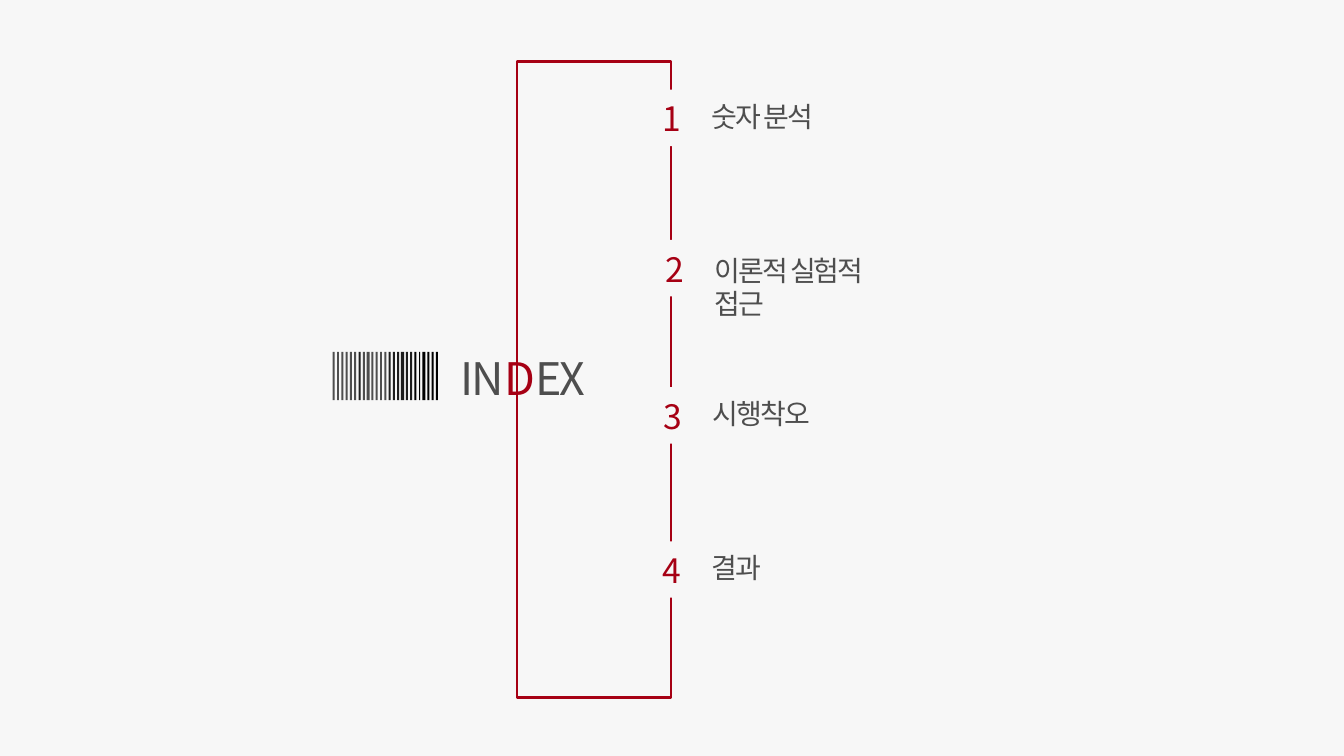
from dataclasses import dataclass

from lxml.etree import SubElement
from pptx import Presentation
from pptx.dml.color import RGBColor
from pptx.enum.shapes import MSO_SHAPE
from pptx.enum.text import MSO_ANCHOR, MSO_AUTO_SIZE, PP_ALIGN
from pptx.oxml.ns import qn
from pptx.shapes.autoshape import Shape
from pptx.slide import Slide
from pptx.util import Inches, Pt

COLORS = {
    "paper": "F7F7F7",
    "red": "A60014",
    "grey": "4E4E4E",
    "dark": "1D1D1D",
    "black": "000000",
}
FONT = "Noto Sans CJK KR"
WIDTH, HEIGHT = Inches(13.33), Inches(7.5)
COMPARISON_LAYOUT = 4

BAR_START, BAR_PITCH = 24.83, 0.32
BAR_TOP, BAR_HEIGHT = 46.53, 6.4
BAR_WIDTH = 0.15
SPECIAL_WIDTHS = {8: 0.23, 16: 0.23, 20: 0.08, 21: 0.23}
BAR_COLORS = ["grey"] * 6 + ["dark"] + ["grey"] * 6 + ["dark"] * 6 + ["black"] * 6


@dataclass(frozen=True)
class Area:
    """Shares of the slide's size, in percent."""
    left: float
    top: float
    width: float
    height: float

    def lengths(self) -> tuple[int, int, int, int]:
        return (
            round(WIDTH * self.left / 100),
            round(HEIGHT * self.top / 100),
            round(WIDTH * self.width / 100),
            round(HEIGHT * self.height / 100),
        )


@dataclass(frozen=True)
class Entry:
    text: str
    gap: Area
    label: Area


BRACKET = Area(38.48, 8.13, 11.48, 84.13)
TITLE = Area(33.53, 45.73, 12.75, 8.53)
TITLE_PARTS = [("IN", "grey"), ("D", "red"), ("EX", "grey")]
ENTRIES = [
    Entry("숫자 분석", Area(46.29, 11.87, 6.75, 7.47), Area(52.21, 12.53, 14.63, 5.87)),
    Entry("이론적 실험적 접근", Area(46.29, 31.73, 7.43, 7.47), Area(52.44, 32.8, 15.98, 14.8)),
    Entry("시행착오", Area(46.36, 51.2, 6.75, 7.47), Area(52.29, 51.73, 19.2, 5.87)),
    Entry("결과", Area(46.29, 71.6, 6.75, 7.47), Area(52.21, 72.13, 14.63, 5.87)),
]


def add_block(page: Slide, area: Area, fill: str | None = None, line: str | None = None) -> None:
    block = page.shapes.add_shape(MSO_SHAPE.RECTANGLE, *area.lengths())
    block.shadow.inherit = False
    if fill:
        block.fill.solid()
        block.fill.fore_color.rgb = RGBColor.from_string(COLORS[fill])
    else:
        block.fill.background()
    if line:
        block.line.color.rgb = RGBColor.from_string(COLORS[line])
        block.line.width = Pt(1.5)
    else:
        block.line.fill.background()


def write(box: Shape, parts: list[tuple[str, str]], size: int) -> None:
    frame = box.text_frame
    frame.word_wrap = True
    frame.auto_size = MSO_AUTO_SIZE.NONE
    frame.vertical_anchor = MSO_ANCHOR.TOP
    para = frame.paragraphs[0]
    para.alignment = PP_ALIGN.LEFT
    para.space_before = Pt(0)
    properties = para._p.get_or_add_pPr()
    properties.set("marL", "0")
    properties.set("indent", "0")
    SubElement(properties, qn("a:buNone"))
    for text, color in parts:
        span = para.add_run()
        span.text = text
        span.font.size = Pt(size)
        span.font.bold = False
        span.font.name = FONT
        span.font.color.rgb = RGBColor.from_string(COLORS[color])
        style = span._r.get_or_add_rPr()
        style.set("spc", "-150")
        SubElement(style, qn("a:ea"), typeface=FONT)


def place(box: Shape, area: Area) -> None:
    box.left, box.top, box.width, box.height = area.lengths()
    box.element.getparent().append(box.element)


def add_entry(page: Slide, number: int, entry: Entry, label: Shape) -> None:
    gap = entry.gap
    add_block(page, gap, fill="paper")
    digit = Area(gap.left + gap.width / 3, gap.top + 0.47, gap.width * 2 / 3, 6.67)
    write(page.shapes.add_textbox(*digit.lengths()), [(str(number), "red")], 24)
    place(label, entry.label)
    write(label, [(entry.text, "grey")], 20)


def add_barcode(page: Slide) -> None:
    for index, color in enumerate(BAR_COLORS):
        width = SPECIAL_WIDTHS.get(index, BAR_WIDTH)
        left = BAR_START + index * BAR_PITCH - width / 2
        add_block(page, Area(left, BAR_TOP, width, BAR_HEIGHT), fill=color)


def main() -> None:
    deck = Presentation()
    deck.slide_width, deck.slide_height = WIDTH, HEIGHT
    page = deck.slides.add_slide(deck.slide_layouts[COMPARISON_LAYOUT])
    page.background.fill.solid()
    page.background.fill.fore_color.rgb = RGBColor.from_string(COLORS["paper"])
    title, *labels = list(page.placeholders)

    add_block(page, BRACKET, line="red")
    place(title, TITLE)
    write(title, TITLE_PARTS, 32)
    for number, (entry, label) in enumerate(zip(ENTRIES, labels), start=1):
        add_entry(page, number, entry, label)
    add_barcode(page)
    deck.save("out.pptx")


if __name__ == "__main__":
    main()
